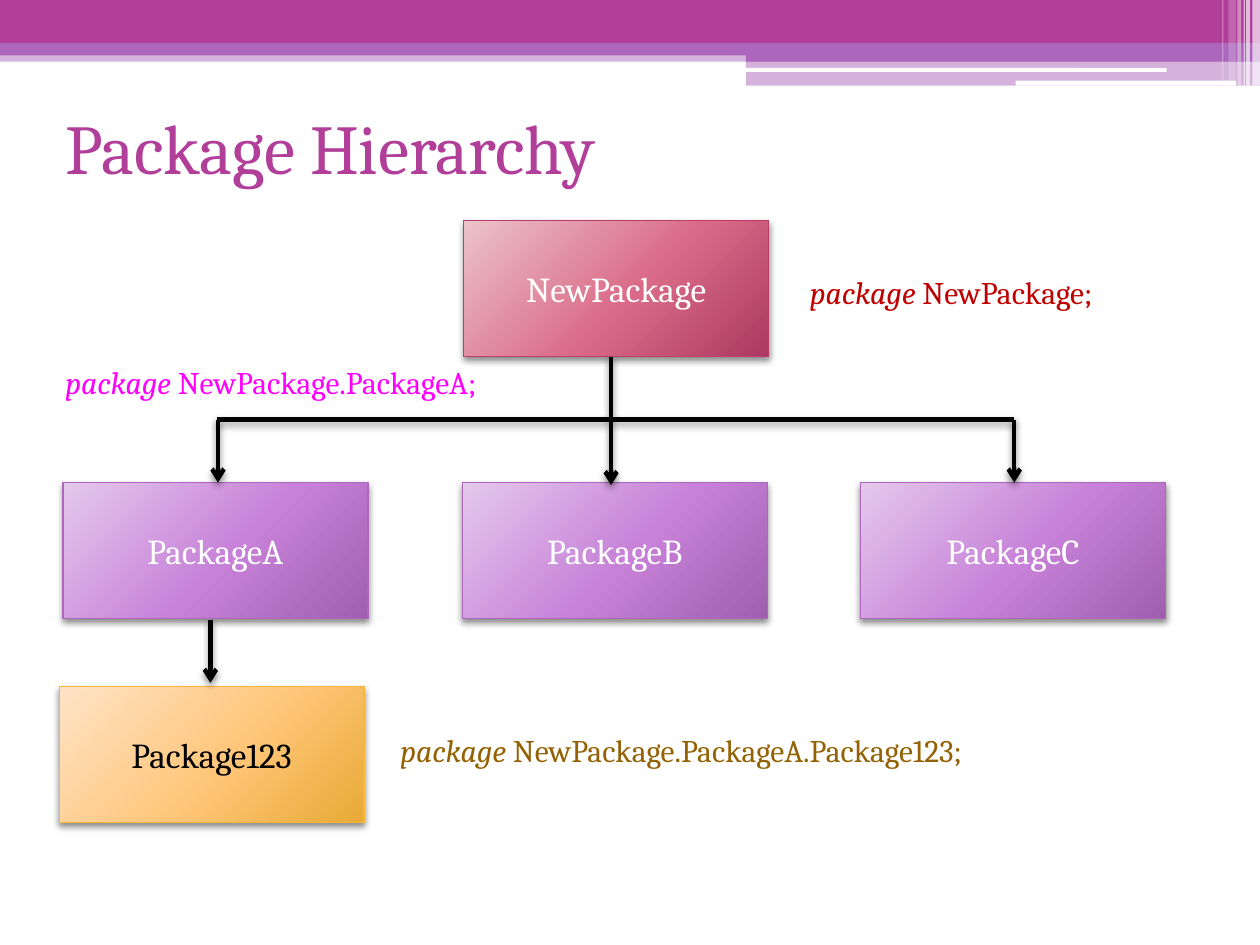
import pptx
import pptx.dml.color
import pptx.enum.shapes
import pptx.enum.text
import pptx.oxml
import pptx.oxml.ns
from pptx.util import Inches

NAMESPACE = pptx.oxml.ns.nsdecls("a")
SHADOW = (
    f'<a:effectLst {NAMESPACE}><a:outerShdw blurRad="50800" dist="25400" dir="5400000" '
    'rotWithShape="0"><a:srgbClr val="000000"><a:alpha val="45000"/></a:srgbClr>'
    '</a:outerShdw></a:effectLst>'
)


def color(value):
    """Turn a hex string into a colour."""
    return pptx.dml.color.RGBColor.from_string(value)


def add_run(paragraph, text, size, value, italic=False):
    """Append one formatted run to a paragraph."""
    run = paragraph.add_run()
    run.text = text
    run.font.name = "Cambria"
    run.font.size = pptx.util.Pt(size)
    run.font.italic = italic
    run.font.color.rgb = color(value)


presentation = pptx.Presentation()
presentation.slide_width = Inches(10)
presentation.slide_height = Inches(7.5)
slide = presentation.slides.add_slide(presentation.slide_layouts[5])
shapes = slide.shapes
shape_types = pptx.enum.shapes.MSO_SHAPE

# Header bands and stripes: left, top, width, height, colour, opacity in percent
rectangle, rounded = shape_types.RECTANGLE, shape_types.ROUNDED_RECTANGLE
decorations = [
    (rectangle, 0, 0.4, 10, 0.09, "AC66BB", 50),
    (rectangle, 0, 0, 10, 0.34, "B13F9A", 100),
    (rectangle, 0, 0.34, 10, 0.1, "AC66BB", 100),
    (rectangle, 5.92, 0.39, 4.08, 0.1, "AC66BB", 100),
    (rectangle, 5.92, 0.48, 4.08, 0.2, "AC66BB", 50),
    (rounded, 5.91, 0.54, 3.35, 0.03, "FFFFFF", 100),
    (rounded, 8.06, 0.64, 1.75, 0.04, "FFFFFF", 100),
    (rectangle, 9.94, 0, 0.06, 0.68, "FFFFFF", 65),
    (rectangle, 9.89, 0, 0.03, 0.68, "FFFFFF", 65),
    (rectangle, 9.87, 0, 0.01, 0.68, "FFFFFF", 60),
    (rectangle, 9.82, 0, 0.03, 0.68, "FFFFFF", 40),
    (rectangle, 9.75, 0, 0.06, 0.64, "FFFFFF", 20),
    (rectangle, 9.7, 0, 0.01, 0.64, "FFFFFF", 30),
]
for kind, left, top, width, height, value, opacity in decorations:
    band = shapes.add_shape(kind, Inches(left), Inches(top), Inches(width), Inches(height))
    band.shadow.inherit = False
    band.fill.solid()
    band.fill.fore_color.rgb = color(value)
    band.line.fill.background()
    if opacity < 100:
        fill_color = band.fill._xPr.find(".//" + pptx.oxml.ns.qn("a:srgbClr"))
        fill_color.append(pptx.oxml.parse_xml(f'<a:alpha {NAMESPACE} val="{opacity * 1000}"/>'))

title = shapes.title
title.left, title.top, title.width, title.height = map(Inches, (0.42, 0.58, 9, 1.17))
title.text_frame.vertical_anchor = pptx.enum.text.MSO_ANCHOR.MIDDLE
title_paragraph = title.text_frame.paragraphs[0]
title_paragraph.alignment = pptx.enum.text.PP_ALIGN.LEFT
add_run(title_paragraph, "Package Hierarchy", 40, "B13F9A")

# Package boxes: gradient stops, outline and text colour per level
root_style = (("ECC2CB", "DA6B88", "AB3961"), "B83D68", "FFFFFF")
child_style = (("E4C8EC", "C781D8", "A05FAE"), "AC66BB", "FFFFFF")
leaf_style = (("FFE3C7", "FFC679", "E8AA35"), "F9B639", "000000")
packages = [
    ("NewPackage", 3.68, 1.75, root_style),
    ("PackageA", 0.5, 3.83, child_style),
    ("PackageB", 3.67, 3.83, child_style),
    ("PackageC", 6.83, 3.83, child_style),
    ("Package123", 0.47, 5.45, leaf_style),
]
for name, left, top, (gradient, outline, text_color) in packages:
    box = shapes.add_shape(rectangle, Inches(left), Inches(top), Inches(2.42), Inches(1.08))
    box.fill.background()
    properties = box._element.spPr
    stops = "".join(
        f'<a:gs pos="{position}"><a:srgbClr val="{value}"/></a:gs>'
        for position, value in zip((0, 55000, 100000), gradient)
    )
    properties.replace(
        properties.find(pptx.oxml.ns.qn("a:noFill")),
        pptx.oxml.parse_xml(
            f'<a:gradFill {NAMESPACE} rotWithShape="1"><a:gsLst>{stops}</a:gsLst>'
            '<a:path path="circle"><a:fillToRect l="-40000" t="-90000" r="140000" b="190000"/>'
            '</a:path></a:gradFill>'
        ),
    )
    box.line.color.rgb = color(outline)
    box.line.width = pptx.util.Pt(0.75)
    properties.append(pptx.oxml.parse_xml(SHADOW))
    box.text_frame.vertical_anchor = pptx.enum.text.MSO_ANCHOR.MIDDLE
    paragraph = box.text_frame.paragraphs[0]
    paragraph.alignment = pptx.enum.text.PP_ALIGN.CENTER
    add_run(paragraph, name, 20, text_color)

# Hierarchy lines: start, end, arrowhead
links = [
    (1.72, 3.33, 8.05, 3.33, False),
    (4.85, 3.35, 4.85, 3.85, True),
    (8.05, 3.33, 8.05, 3.83, True),
    (1.73, 3.33, 1.73, 3.83, True),
    (4.85, 2.83, 4.85, 3.33, False),
    (1.67, 4.92, 1.67, 5.42, True),
]
for start_x, start_y, end_x, end_y, has_arrow in links:
    link = shapes.add_connector(
        pptx.enum.shapes.MSO_CONNECTOR.STRAIGHT,
        Inches(start_x), Inches(start_y), Inches(end_x), Inches(end_y),
    )
    link.line.color.rgb = color("000000")
    link.line.width = pptx.util.Pt(2.5)
    if has_arrow:
        link.line._get_or_add_ln().append(
            pptx.oxml.parse_xml(f'<a:tailEnd {NAMESPACE} type="arrow"/>')
        )
    link._element.spPr.append(pptx.oxml.parse_xml(SHADOW))

# Package statements beside the boxes
statements = [
    ("NewPackage;", 6.33, 2.12, 2.7, "C00000", False),
    ("NewPackage.PackageA;", 0.42, 2.83, 3.83, "FF00FF", True),
    ("NewPackage.PackageA.Package123;", 3.08, 5.75, 6, "946204", True),
]
for name, left, top, width, value, wraps in statements:
    statement = shapes.add_textbox(Inches(left), Inches(top), Inches(width), Inches(0.4))
    statement.text_frame.word_wrap = wraps
    statement.text_frame.auto_size = pptx.enum.text.MSO_AUTO_SIZE.SHAPE_TO_FIT_TEXT
    paragraph = statement.text_frame.paragraphs[0]
    add_run(paragraph, "package ", 18, value, italic=True)
    add_run(paragraph, name, 18, value)

presentation.save("out.pptx")
